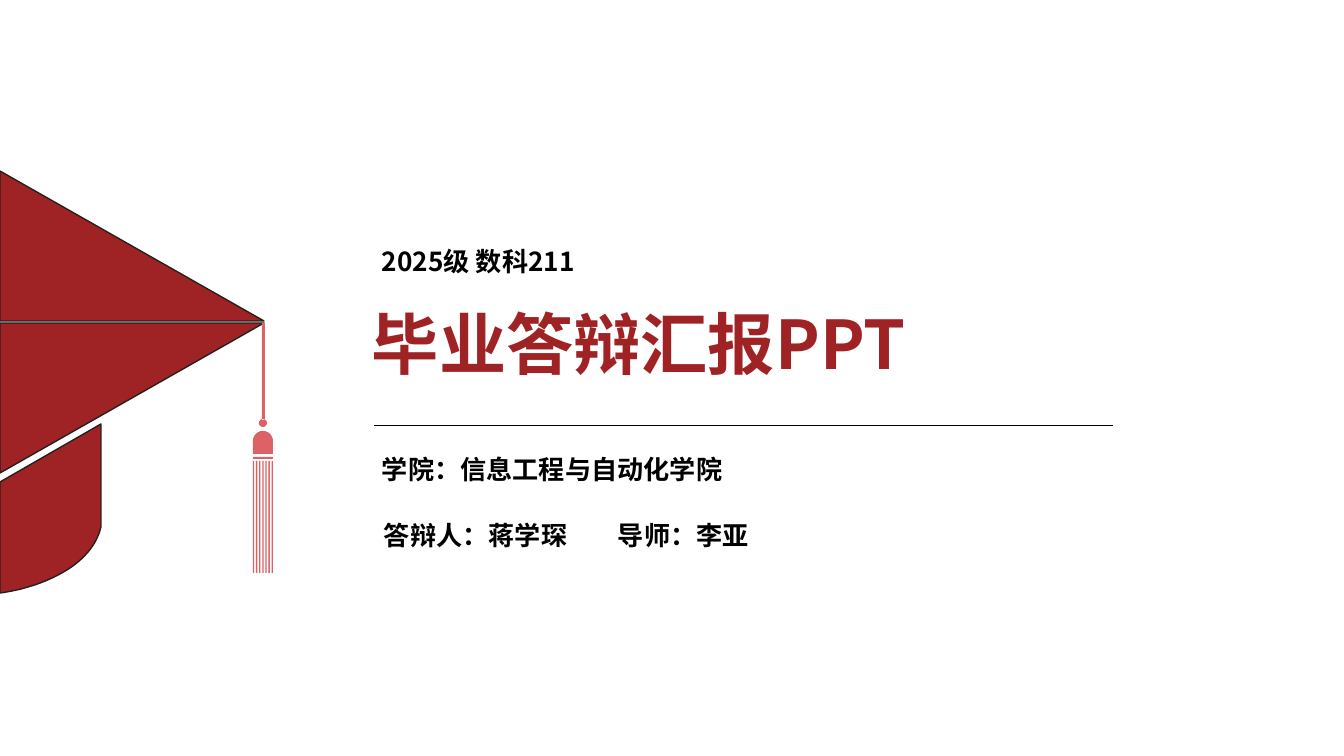
import math

import pptx
import pptx.dml.color
import pptx.enum.shapes
import pptx.enum.text
import pptx.oxml
import pptx.oxml.ns
import pptx.util

PX = 914400 / 134.4
FINE = 10
FONT = "Noto Sans CJK SC"
RED = "9F2225"
PINK = "DD6265"
BLACK = "000000"


def px(length):
    return pptx.util.Emu(round(length * PX))


def color(value):
    return pptx.dml.color.RGBColor.from_string(value)


def write(shape, wording, size, ink, wrap=True, spacing=1.0):
    frame = shape.text_frame
    frame.text = wording
    frame.word_wrap = wrap
    frame.auto_size = pptx.enum.text.MSO_AUTO_SIZE.SHAPE_TO_FIT_TEXT
    frame.vertical_anchor = pptx.enum.text.MSO_ANCHOR.TOP
    frame.margin_left = frame.margin_right = px(10)
    frame.margin_top = frame.margin_bottom = px(5)
    paragraph = frame.paragraphs[0]
    paragraph.alignment = pptx.enum.text.PP_ALIGN.LEFT
    paragraph.line_spacing = spacing
    paragraph.space_before = pptx.util.Pt(0)
    for run in paragraph.runs:
        run.font.name = FONT
        run.font.size = pptx.util.Pt(size)
        run.font.bold = True
        run.font.color.rgb = color(ink)
        east_asian = run.font._element.makeelement(pptx.oxml.ns.qn("a:ea"), {"typeface": FONT})
        run.font._element.find(pptx.oxml.ns.qn("a:latin")).addnext(east_asian)


def add_title(slide, wording, left, top, width, height):
    title = slide.shapes.title
    title.left, title.top = px(left), px(top)
    title.width, title.height = px(width), px(height)
    write(title, wording, 36, RED)


def add_detail(slide, wording, left, top, width, height, wrap=True, spacing=1.0):
    detail = slide.shapes.add_textbox(px(left), px(top), px(width), px(height))
    write(detail, wording, 14, BLACK, wrap, spacing)


def add_rule(slide, start, end, y):
    rule = slide.shapes.add_connector(
        pptx.enum.shapes.MSO_CONNECTOR.STRAIGHT, px(start), px(y), px(end), px(y))
    rule.line.color.rgb = color(BLACK)
    rule.line.width = pptx.util.Pt(0.5)
    rule._element.spPr.append(pptx.oxml.parse_xml(
        f'<a:effectLst {pptx.oxml.ns.nsdecls("a")}/>'))


def add_outline(slide, contours, fill, line=None):
    fine = [[(round(x * FINE), round(y * FINE)) for x, y in contour] for contour in contours]
    builder = slide.shapes.build_freeform(*fine[0][0], scale=PX / FINE)
    for index, contour in enumerate(fine):
        if index:
            builder.move_to(*contour[0])
        builder.add_line_segments(contour[1:], close=True)
    outline = builder.convert_to_shape()
    outline.shadow.inherit = False
    outline.fill.solid()
    outline.fill.fore_color.rgb = color(fill)
    if line:
        outline.line.color.rgb = color(line)
        outline.line.width = 0
    else:
        outline.line.fill.background()


def box(left, top, right, bottom):
    return [(left, top), (right, top), (right, bottom), (left, bottom)]


def arc(x, y, radius, start, end, steps=24):
    angles = [math.radians(start + (end - start) * i / steps) for i in range(steps + 1)]
    return [(x + radius * math.cos(a), y + radius * math.sin(a)) for a in angles]


def bezier(points, steps=24):
    curve = []
    for i in range(steps + 1):
        t = i / steps
        weights = [(1 - t) ** 3, 3 * t * (1 - t) ** 2, 3 * t ** 2 * (1 - t), t ** 3]
        curve.append(tuple(sum(w * p[axis] for w, p in zip(weights, points)) for axis in (0, 1)))
    return curve


def add_cap(slide):
    upper_board = [(0, 171), (264, 321), (0, 321)]
    lower_board = [(264, 323), (0, 473), (0, 323)]
    crown = bezier([(101, 527), (90, 573), (26, 590), (0, 593)]) + [(0, 482), (101, 424)]
    add_outline(slide, [upper_board, lower_board, crown], RED, "24211D")


def add_tassel(slide):
    left, right, middle = 253, 273, 263
    cord = box(middle - 1, 323, middle + 2, 420)
    bead = arc(middle, 423, 4, 0, 360)
    head = arc(middle, 441, 10, 180, 360) + [(right, 454), (left, 454)]
    band = box(left, 457, right, 459)
    strand_width, count = 1.3, 7
    pitch = (right - left - strand_width) / (count - 1)
    strands = [box(left + i * pitch, 461, left + i * pitch + strand_width, 573)
               for i in range(count)]
    add_outline(slide, [cord, bead, head, band] + strands, PINK)


def main():
    deck = pptx.Presentation()
    deck.slide_width, deck.slide_height = px(1344), px(756)
    slide = deck.slides.add_slide(deck.slide_layouts[5])
    add_detail(slide, "导师：李亚", 608, 514, 156, 42, wrap=False)
    add_detail(slide, "学院：信息工程与自动化学院", 372, 433, 503, 52, spacing=1.5)
    add_detail(slide, "答辩人：蒋学琛", 374, 514, 206, 42, wrap=False)
    add_title(slide, "毕业答辩汇报PPT", 362, 297, 954, 91)
    add_rule(slide, 1113, 374, 426)
    add_detail(slide, "2025级 数科211", 372, 240, 503, 42)
    add_cap(slide)
    add_tassel(slide)
    deck.save("out.pptx")


if __name__ == "__main__":
    main()
